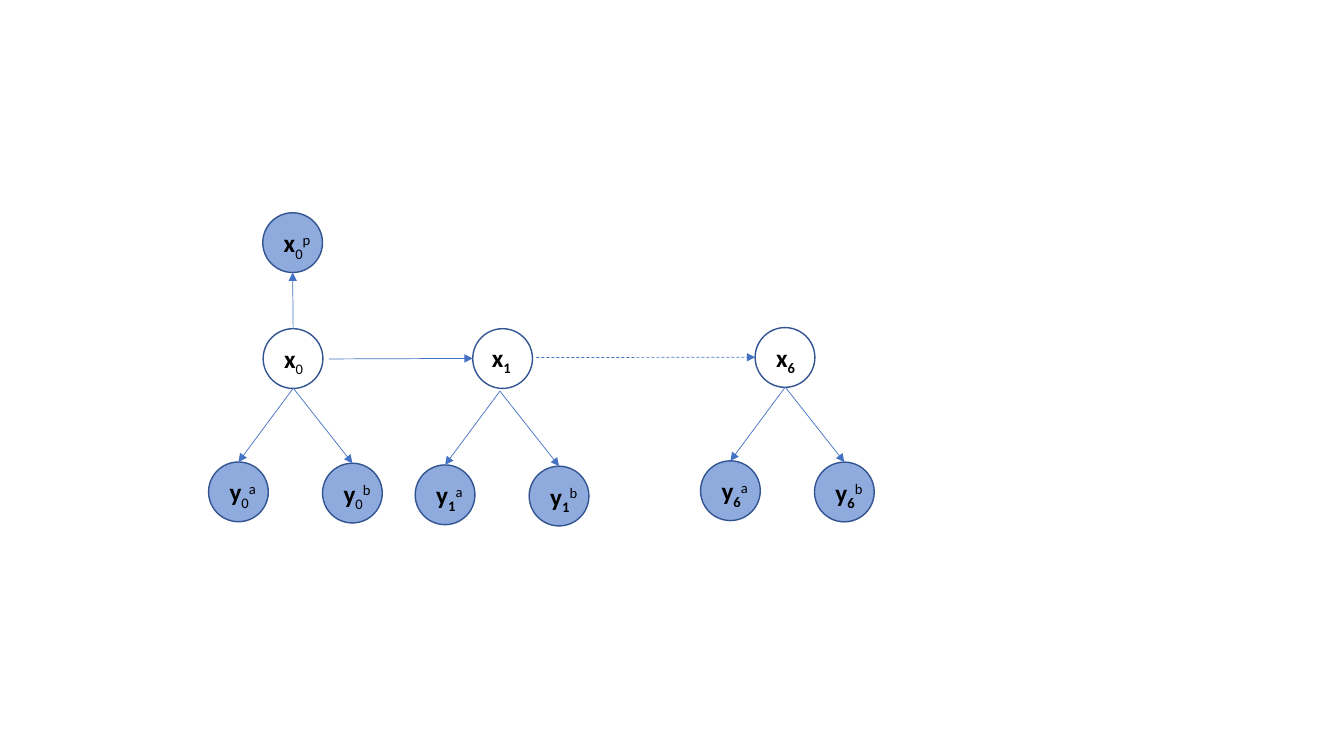
"""Draw a state chain with its prior and paired observations."""
from lxml import etree
from pptx import Presentation
from pptx.dml.color import RGBColor
from pptx.enum.dml import MSO_LINE
from pptx.enum.shapes import MSO_CONNECTOR, MSO_SHAPE
from pptx.enum.text import MSO_AUTO_SIZE
from pptx.oxml.ns import qn
from pptx.util import Pt

STRAIGHT = MSO_CONNECTOR.STRAIGHT
OVAL = MSO_SHAPE.OVAL
DASH = MSO_LINE.DASH
FIT_SHAPE = MSO_AUTO_SIZE.SHAPE_TO_FIT_TEXT

OUTLINE = RGBColor(0x32, 0x54, 0x91)
OBSERVED = RGBColor(0x8F, 0xAA, 0xDC)
ARROW = RGBColor(0x44, 0x72, 0xC4)
BLACK = RGBColor(0, 0, 0)

DIAMETER = 42.7
LABEL_OFFSET = (7.9, 7)
OBSERVATIONS = (("a", -60.5, 52.7), ("b", 20.9, 53.6))
STATES = (
    ("0", (188, 234.8), (209.5, 277.3), LABEL_OFFSET),
    ("1", (337.7, 234.8), (357.1, 279.4), (6.5, 5.8)),
    ("6", (539.4, 234), (560.9, 276.5), LABEL_OFFSET),
)
PRIOR = (187.7, 152)


def add_label(slide, left, top, variable, step, superscript):
    """Add a bold variable with its subscript and optional superscript."""
    label = slide.shapes.add_textbox(Pt(left), Pt(top), Pt(38.9), Pt(29.1))
    frame = label.text_frame
    frame.word_wrap = True
    frame.auto_size = FIT_SHAPE
    paragraph = frame.paragraphs[0]
    parts = ((variable, True, 0), (step, step != "0", -25000), (superscript, False, 30000))
    for text, bold, baseline in parts:
        if not text:
            continue
        run = paragraph.add_run()
        run.text = text
        run.font.name = "Calibri"
        run.font.size = Pt(18)
        run.font.bold = bold
        run.font.color.rgb = BLACK
        if baseline:
            run.font._element.set("baseline", str(baseline))


def add_node(slide, position, variable, step, superscript="", offset=LABEL_OFFSET):
    """Add a labelled circle, filled when it carries a superscript."""
    left, top = position
    node = slide.shapes.add_shape(OVAL, Pt(left), Pt(top), Pt(DIAMETER), Pt(DIAMETER))
    node.shadow.inherit = False
    if superscript:
        node.fill.solid()
        node.fill.fore_color.rgb = OBSERVED
    else:
        node.fill.background()
    node.line.color.rgb = OUTLINE
    node.line.width = Pt(1)
    add_label(slide, left + offset[0], top + offset[1], variable, step, superscript)


def add_arrow(slide, start, end, dashed=False):
    """Add a thin arrow between two points."""
    arrow = slide.shapes.add_connector(STRAIGHT, *(Pt(value) for value in (*start, *end)))
    arrow.line.color.rgb = ARROW
    arrow.line.width = Pt(0.5)
    if dashed:
        arrow.line.dash_style = DASH
    head = etree.SubElement(arrow.line._get_or_add_ln(), qn("a:tailEnd"))
    head.set("type", "triangle")
    etree.SubElement(arrow._element.spPr, qn("a:effectLst"))


def add_state(slide, step, position, apex, offset):
    """Add a state and the two observations that branch from it."""
    add_node(slide, position, "x", step, offset=offset)
    for superscript, across, down in OBSERVATIONS:
        left, top = apex[0] + across, apex[1] + down
        add_node(slide, (left, top), "y", step, superscript)
        add_arrow(slide, apex, (left + DIAMETER / 2, top))


def main():
    """Build and save the slide."""
    deck = Presentation()
    deck.slide_width, deck.slide_height = Pt(960), Pt(540)
    slide = deck.slides.add_slide(deck.slide_layouts[6])
    for state in STATES:
        add_state(slide, *state)
    add_node(slide, PRIOR, "x", "0", "p")
    add_arrow(slide, (209.4, 234.8), (PRIOR[0] + DIAMETER / 2, PRIOR[1] + DIAMETER))
    add_arrow(slide, (235, 256.4), (337.7, 256))
    add_arrow(slide, (383.2, 255.4), (539.4, 255.2), dashed=True)
    deck.save("out.pptx")


if __name__ == "__main__":
    main()
